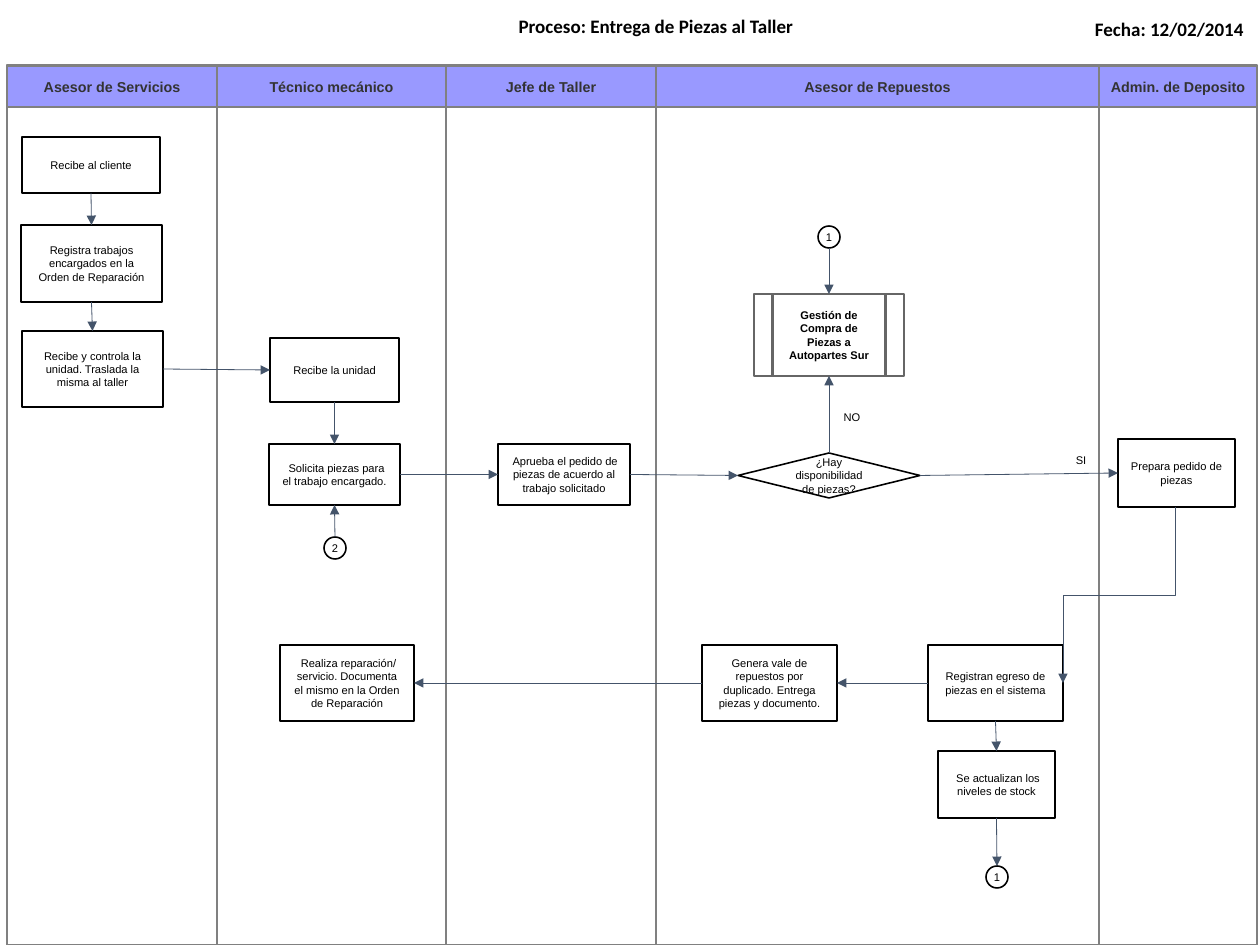
from dataclasses import dataclass

import lxml.etree
import pptx
import pptx.dml.color
import pptx.enum.shapes
import pptx.enum.text
import pptx.oxml.ns
import pptx.util

PX = 8000  # EMU in one px
COLORS = {
    "header": "9999FF", "lane": "808080", "header_text": "333333",
    "white": "FFFFFF", "black": "000000", "process": "666666", "arrow": "44546A",
}
MSO = pptx.enum.shapes.MSO_SHAPE
ALIGN = pptx.enum.text.PP_ALIGN
TOP, LEFT, BOTTOM, RIGHT = range(4)
LANE_TOP, LANE_HEIGHT, HEADER_HEIGHT = 65, 880, 41


@dataclass
class Node:
    key: str
    text: str
    x: int
    y: int
    w: int
    h: int
    kind: MSO = MSO.RECTANGLE
    indent: int = 0

    def side(self, site: int) -> tuple[int, int]:
        """Middle of one side, in px."""
        return {
            TOP: (self.x + self.w // 2, self.y),
            LEFT: (self.x, self.y + self.h // 2),
            BOTTOM: (self.x + self.w // 2, self.y + self.h),
            RIGHT: (self.x + self.w, self.y + self.h // 2),
        }[site]


@dataclass
class Link:
    start: str
    start_side: int
    end: str
    end_side: int


@dataclass
class Label:
    text: str
    x: int
    y: int
    w: int
    h: int
    size: int = 7
    font: str = "Arial"
    bold: bool = False
    align: ALIGN = ALIGN.CENTER
    wrap: bool = False


LANE_EDGES = [7, 217, 446, 656, 1099, 1257]
LANE_NAMES = ["Asesor de Servicios", "Técnico mecánico", "Jefe de Taller",
              "Asesor de Repuestos", "Admin. de Deposito"]

NODES = [
    Node("cliente", "Recibe al cliente", 22, 137, 138, 56, indent=-6),
    Node("orden", "Registra trabajos encargados en la Orden de Reparación", 21, 225, 141, 77),
    Node("control", "Recibe y controla la unidad. Traslada la misma al taller", 22, 331, 141, 76),
    Node("unidad", "Recibe la unidad", 270, 338, 129, 64),
    Node("solicita", "Solicita piezas para el trabajo encargado.", 269, 444, 131, 61, indent=4),
    Node("reparacion", "Realiza reparación/ servicio. Documenta el mismo en la Orden de Reparación",
         280, 645, 134, 76, indent=3),
    Node("aprueba", "Aprueba el pedido de piezas de acuerdo al trabajo solicitado",
         498, 444, 132, 61, indent=2),
    Node("compra", "Gestión de Compra de Piezas a Autopartes Sur", 754, 294, 150, 82,
         MSO.FLOWCHART_PREDEFINED_PROCESS),
    Node("stock", "¿Hay disponibilidad de piezas?", 738, 453, 182, 45, MSO.DIAMOND),
    Node("vale", "Genera vale de repuestos por duplicado. Entrega piezas y documento.",
         702, 645, 135, 76),
    Node("egreso", "Registran egreso de piezas en el sistema", 928, 645, 135, 76),
    Node("niveles", "Se actualizan los niveles de stock", 938, 751, 117, 67, indent=3),
    Node("pedido", "Prepara pedido de piezas", 1118, 439, 117, 68),
    Node("entra1", "1", 818, 226, 22, 22, MSO.OVAL),
    Node("sale1", "1", 986, 866, 22, 22, MSO.OVAL),
    Node("entra2", "2", 324, 537, 22, 22, MSO.OVAL),
]

LINKS = [
    Link("cliente", BOTTOM, "orden", TOP),
    Link("orden", BOTTOM, "control", TOP),
    Link("control", RIGHT, "unidad", LEFT),
    Link("unidad", BOTTOM, "solicita", TOP),
    Link("entra2", TOP, "solicita", BOTTOM),
    Link("solicita", RIGHT, "aprueba", LEFT),
    Link("aprueba", RIGHT, "stock", LEFT),
    Link("stock", TOP, "compra", BOTTOM),
    Link("entra1", BOTTOM, "compra", TOP),
    Link("stock", RIGHT, "pedido", LEFT),
    Link("egreso", LEFT, "vale", RIGHT),
    Link("vale", LEFT, "reparacion", RIGHT),
    Link("egreso", BOTTOM, "niveles", TOP),
    Link("niveles", BOTTOM, "sale1", TOP),
]

LABELS = [
    Label("NO", 832, 405, 40, 35),
    Label("SI", 1061, 448, 40, 35),
    Label("Proceso: Entrega de Piezas al Taller", 150, 9, 1012, 35, 12, "Calibri", True, wrap=True),
    Label("Fecha: 12/02/2014", 996, 12, 259, 34, 12, "Calibri", True, ALIGN.RIGHT, True),
]


def emu(*px: int) -> list[int]:
    return [v * PX for v in px]


def rgb(name: str) -> pptx.dml.color.RGBColor:
    return pptx.dml.color.RGBColor.from_string(COLORS[name])


def write(sp, text: str, size: int, color: str = "black", bold: bool = False,
          font: str = "Arial", align: ALIGN = ALIGN.CENTER, wrap: bool = True) -> None:
    tf = sp.text_frame
    tf.text = text
    tf.word_wrap = wrap
    p = tf.paragraphs[0]
    p.alignment = align
    r = p.runs[0]
    r.font.name, r.font.size, r.font.bold = font, pptx.util.Pt(size), bold
    r.font.color.rgb = rgb(color)


def add_block(slide, kind: MSO, box: tuple[int, ...], line: str, width: float,
              fill: str | None = None):
    sp = slide.shapes.add_shape(kind, *emu(*box))
    sp.shadow.inherit = False
    if fill:
        sp.fill.solid()
        sp.fill.fore_color.rgb = rgb(fill)
    else:
        sp.fill.background()
    sp.line.color.rgb = rgb(line)
    sp.line.width = pptx.util.Pt(width)
    sp.text_frame.vertical_anchor = pptx.enum.text.MSO_ANCHOR.MIDDLE
    return sp


def add_lane(slide, name: str, left: int, right: int) -> None:
    w = right - left
    header = add_block(slide, MSO.RECTANGLE, (left, LANE_TOP + 1, w, HEADER_HEIGHT),
                       "lane", 1.7, "header")
    header.text_frame.margin_left = header.text_frame.margin_right = 6 * PX
    write(header, name, 9, "header_text", True)
    add_block(slide, MSO.RECTANGLE, (left, LANE_TOP, w, LANE_HEIGHT), "lane", 1.7)


def add_node(slide, node: Node):
    is_process = node.kind == MSO.FLOWCHART_PREDEFINED_PROCESS
    is_circle = node.kind == MSO.OVAL
    sp = add_block(slide, node.kind, (node.x, node.y, node.w, node.h),
                   "process" if is_process else "black", 1.7 if is_process else 1, "white")
    write(sp, node.text, 7, bold=is_process, wrap=not is_circle)
    tf = sp.text_frame
    if is_circle:
        tf.margin_left = tf.margin_right = tf.margin_top = tf.margin_bottom = 0
    if node.indent:
        tf.paragraphs[0]._p.get_or_add_pPr().set("indent", str(node.indent * PX))
    return sp


def add_arrow(slide, kind, start: tuple[int, int], end: tuple[int, int]):
    c = slide.shapes.add_connector(kind, *emu(*start, *end))
    c.line.color.rgb = rgb("arrow")
    c.line.width = pptx.util.Pt(0.5)
    qn = pptx.oxml.ns.qn
    lxml.etree.SubElement(c.line._get_or_add_ln(), qn("a:tailEnd"), type="triangle")
    lxml.etree.SubElement(c._element.spPr, qn("a:effectLst"))
    return c


def add_drop_arrow(slide, start: tuple[int, int], end: tuple[int, int]) -> None:
    """Elbow that goes down, left and down: a level elbow turned by 90 degrees."""
    cx, cy = (start[0] + end[0]) // 2, (start[1] + end[1]) // 2
    half_w, half_h = (end[1] - start[1]) // 2, (start[0] - end[0]) // 2
    c = add_arrow(slide, pptx.enum.shapes.MSO_CONNECTOR.ELBOW,
                  (cx - half_w, cy - half_h), (cx + half_w, cy + half_h))
    c._element.spPr.find(pptx.oxml.ns.qn("a:xfrm")).set("rot", "5400000")


def main() -> None:
    prs = pptx.Presentation()
    prs.slide_width, prs.slide_height = emu(1260, 945)
    slide = prs.slides.add_slide(prs.slide_layouts[6])

    for name, left, right in zip(LANE_NAMES, LANE_EDGES, LANE_EDGES[1:]):
        add_lane(slide, name, left, right)

    nodes = {node.key: node for node in NODES}
    shapes = {node.key: add_node(slide, node) for node in NODES}
    for link in LINKS:
        start, end = nodes[link.start], nodes[link.end]
        c = add_arrow(slide, pptx.enum.shapes.MSO_CONNECTOR.STRAIGHT,
                      start.side(link.start_side), end.side(link.end_side))
        if start.kind != MSO.OVAL:
            c.begin_connect(shapes[link.start], link.start_side)
        if end.kind != MSO.OVAL:
            c.end_connect(shapes[link.end], link.end_side)
    add_drop_arrow(slide, nodes["pedido"].side(BOTTOM), nodes["egreso"].side(RIGHT))

    for label in LABELS:
        sp = slide.shapes.add_textbox(*emu(label.x, label.y, label.w, label.h))
        write(sp, label.text, label.size, bold=label.bold, font=label.font,
              align=label.align, wrap=label.wrap)

    prs.save("out.pptx")


if __name__ == "__main__":
    main()
